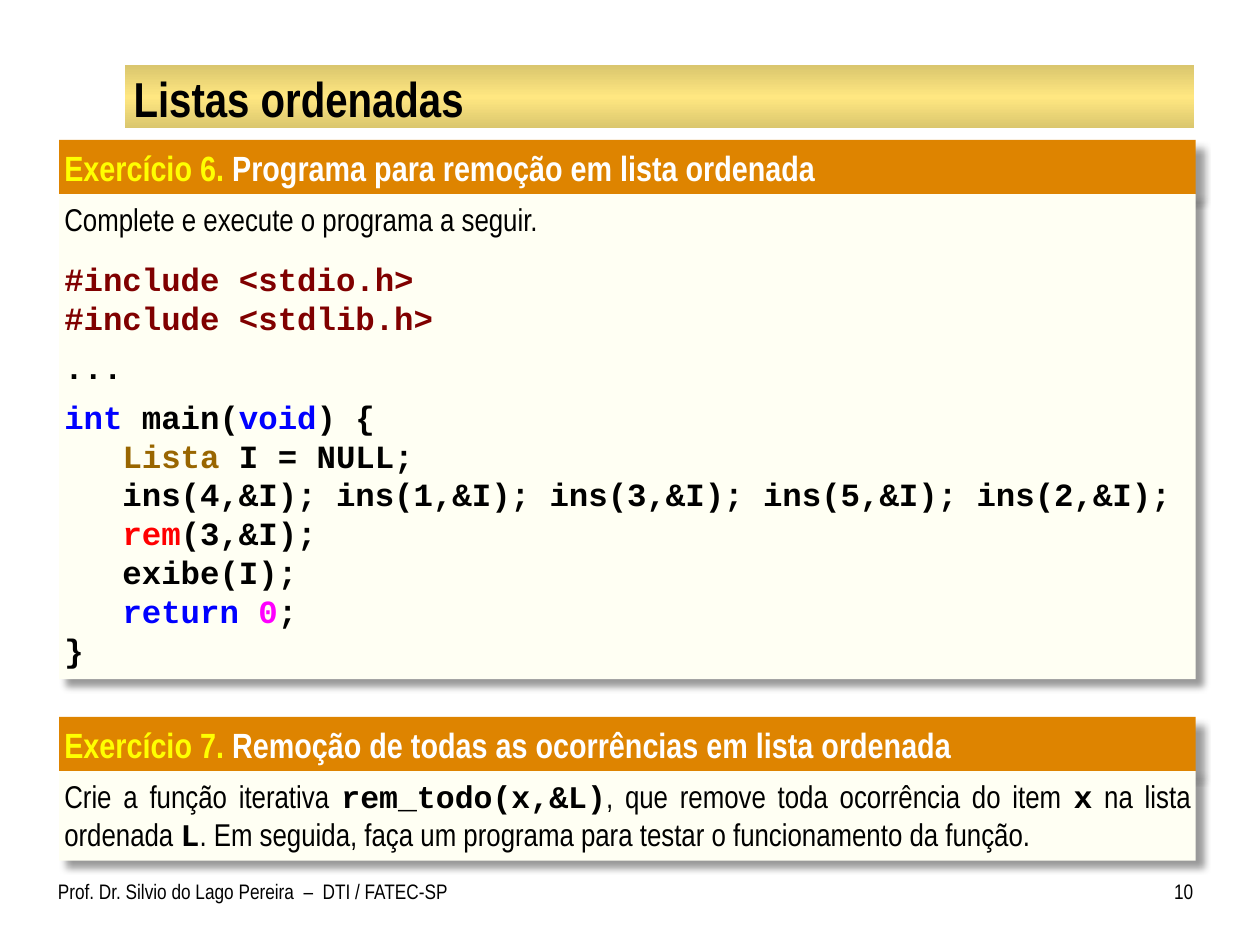
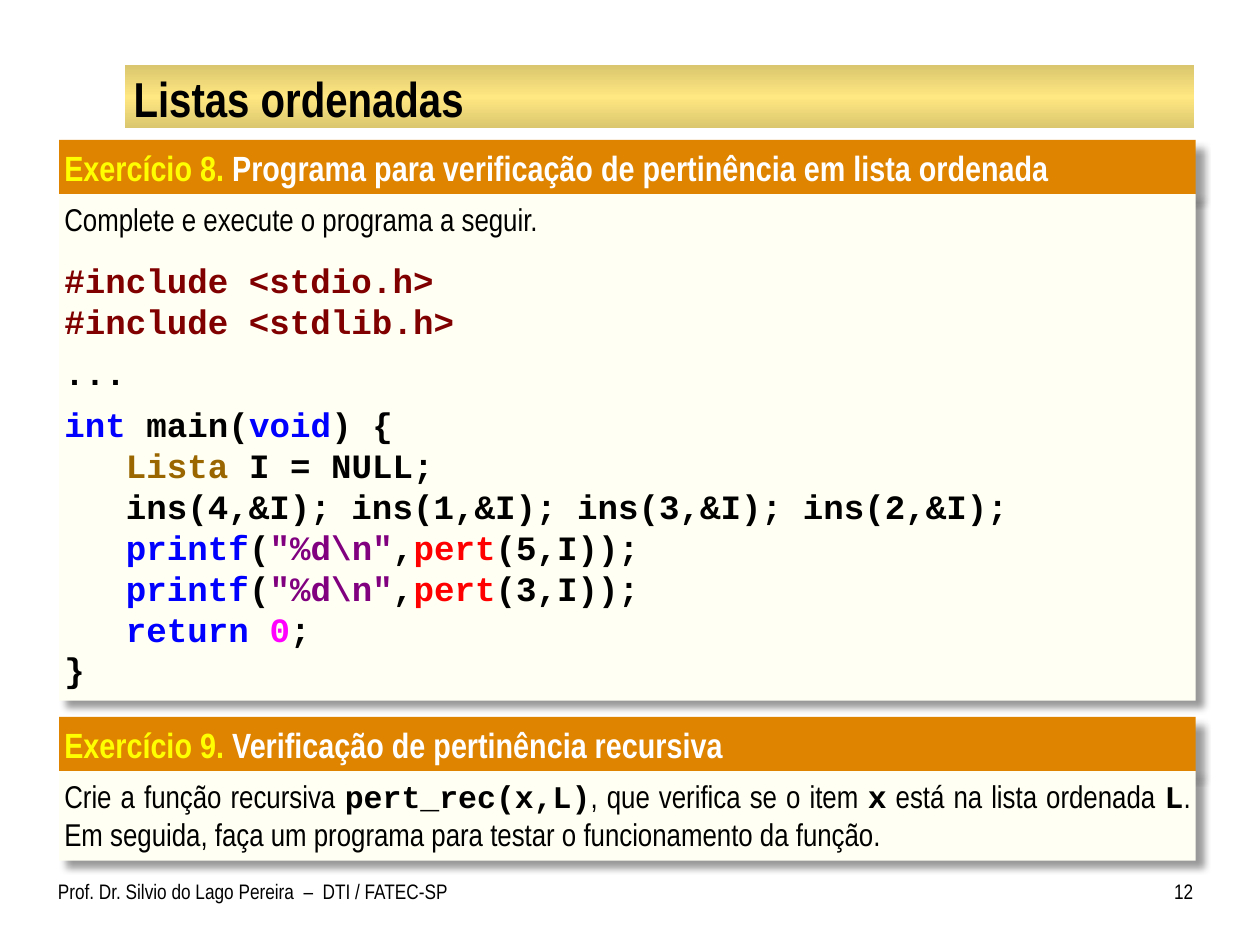
from copy import deepcopy
from lxml import etree
from pptx import Presentation
from pptx import util as u
from pptx.dml.color import RGBColor
from pptx.enum import shapes, text
from pptx.oxml import ns

HUES = {
    "black": "000000", "white": "FFFFFF", "yellow": "FFFF00",
    "orange": "DE8400", "cream": "FFFFF3", "gold": "DAC66E",
    "shine": "FFE781", "maroon": "800000", "blue": "0000FF",
    "brown": "996600", "red": "FF0000", "pink": "FF00FF",
    "purple": "800080",
}
HUES = {name: RGBColor.from_string(code) for name, code in HUES.items()}
SANS, MONO = "Arial Narrow", "Courier New"
LEFT, WIDE, HEAD = 0.47, 9.02, 0.44
GAPS = {1: 12, 3: 6, 4: 6}

START = [
    [("#include <stdio.h>", "maroon")],
    [("#include <stdlib.h>", "maroon")],
    [("...", "black")],
    [("int", "blue"), (" main(", "black"), ("void", "blue"), (") {", "black")],
    [("   ", "black"), ("Lista", "brown"), (" I = NULL;", "black")],
]
END = [
    [("   ", "black"), ("return ", "blue"), ("0", "pink"), (";", "black")],
    [("}", "black")],
]
REMOVE = [
    [("   ins(4,&I); ins(1,&I); ins(3,&I); ins(5,&I); ins(2,&I);", "black")],
    [("   ", "black"), ("rem", "red"), ("(3,&I);", "black")],
    [("   exibe(I);", "black")],
]
CHECK = [[("   ins(4,&I); ins(1,&I); ins(3,&I); ins(2,&I);", "black")]]
for item in (5, 3):
    CHECK.append([
        ("   ", "black"), ("printf", "blue"), ("(", "black"),
        ('"%d\\n"', "purple"), (",", "black"), ("pert", "red"),
        (f"({item},I));", "black"),
    ])

TEST = "Em seguida, faça um programa para testar o funcionamento da função."
PAGES = [
    {
        "page": 10, "first": 6, "tall": 3.85, "size": 18.5, "code": REMOVE,
        "heads": ["Programa para remoção em lista ordenada",
                  "Remoção de todas as ocorrências em lista ordenada"],
        "task": ["Crie a função iterativa ", "rem_todo(x,&L)",
                 ", que remove toda ocorrência do item ", "x",
                 " na lista ordenada ", "L", ". " + TEST],
    },
    {
        "page": 12, "first": 8, "tall": 4.02, "size": 19.5, "code": CHECK,
        "heads": ["Programa para verificação de pertinência em lista ordenada",
                  "Verificação de pertinência recursiva"],
        "task": ["Crie a função recursiva ", "pert_rec(x,L)",
                 ", que verifica se o item ", "x",
                 " está na lista ordenada ", "L", ". " + TEST],
    },
]


def say(para, words, size, hue="black", face=SANS, bold=False):
    run = para.add_run()
    run.text = words
    font = run.font
    font.size, font.name, font.bold = u.Pt(size), face, bold
    font.color.rgb = HUES[hue]


def panel(slide, top, tall, hue):
    box = slide.shapes.add_shape(
        shapes.MSO_SHAPE.RECTANGLE, u.Inches(LEFT), u.Inches(top),
        u.Inches(WIDE), u.Inches(tall))
    box.fill.solid()
    box.fill.fore_color.rgb = HUES[hue]
    box.line.fill.background()
    box.shadow.inherit = False
    glow = box.element.spPr.find(ns.qn("a:effectLst"))
    cast = etree.SubElement(
        glow, ns.qn("a:outerShdw"), blurRad=str(u.Pt(4)),
        dist=str(u.Pt(6)), dir="2700000", algn="tl", rotWithShape="0")
    tone = etree.SubElement(cast, ns.qn("a:srgbClr"), val="000000")
    etree.SubElement(tone, ns.qn("a:alpha"), val="40000")
    frame = box.text_frame
    frame.word_wrap = True
    frame.vertical_anchor = text.MSO_ANCHOR.TOP
    frame.margin_left = frame.margin_right = u.Inches(0.04)
    frame.margin_top = frame.margin_bottom = u.Inches(0.05)
    frame.paragraphs[0].alignment = text.PP_ALIGN.LEFT
    return frame


deck = Presentation()
deck.slide_width, deck.slide_height = u.Inches(10), u.Inches(7.5)
layout = deck.slide_layouts[5]

for data in PAGES:
    slide = deck.slides.add_slide(layout)

    if data is PAGES[0]:
        band = slide.shapes.add_shape(
            shapes.MSO_SHAPE.RECTANGLE, u.Inches(0.99), u.Inches(0.52),
            u.Inches(8.49), u.Inches(0.5))
        band.shadow.inherit = False
        band.line.fill.background()
        band.fill.gradient()
        band.fill.gradient_angle = 90
        stops = band.element.spPr.find(".//" + ns.qn("a:gsLst"))
        stops.insert(1, deepcopy(stops[0]))
        tones = ("gold", "shine", "gold")
        for spot, (stop, tone) in enumerate(zip(band.fill.gradient_stops, tones)):
            stop.position = spot / 2
            stop.color.rgb = HUES[tone]
        layout.shapes.element.insert(2, band.element)

    title = slide.shapes.title
    title.left, title.top = u.Inches(1), u.Inches(0.54)
    title.width, title.height = u.Inches(8.47), u.Inches(0.47)
    frame = title.text_frame
    frame.auto_size = text.MSO_AUTO_SIZE.NONE
    frame.vertical_anchor = text.MSO_ANCHOR.MIDDLE
    frame.margin_left = frame.margin_right = u.Inches(0.06)
    frame.margin_top = frame.margin_bottom = u.Inches(0.01)
    frame.paragraphs[0].alignment = text.PP_ALIGN.LEFT
    say(frame.paragraphs[0], "Listas ordenadas", 28, bold=True)

    bodies = []
    for step, (top, tall) in enumerate([(1.11, data["tall"]), (5.69, 0.71)]):
        para = panel(slide, top, HEAD, "orange").paragraphs[0]
        say(para, f"Exercício {data['first'] + step}.", 20, "yellow", bold=True)
        say(para, " " + data["heads"][step], 20, "white", bold=True)
        bodies.append(panel(slide, top + HEAD - 0.01, tall, "cream"))

    say(bodies[0].paragraphs[0], "Complete e execute o programa a seguir.", 18)
    for row, line in enumerate(START + data["code"] + END, 1):
        para = bodies[0].add_paragraph()
        para.alignment = text.PP_ALIGN.LEFT
        para.space_before = u.Pt(GAPS.get(row, 0))
        for words, hue in line:
            say(para, words, data["size"], hue, MONO, True)

    para = bodies[1].paragraphs[0]
    para.alignment = text.PP_ALIGN.JUSTIFY
    for part, words in enumerate(data["task"]):
        code = part % 2 == 1
        say(para, words, 18, face=MONO if code else SANS, bold=code)

    for left, wide, side, words in [
        (0.46, 3.27, text.PP_ALIGN.LEFT,
         "Prof. Dr. Silvio do Lago Pereira  –  DTI / FATEC-SP"),
        (9.08, 0.39, text.PP_ALIGN.RIGHT, str(data["page"])),
    ]:
        foot = slide.shapes.add_textbox(
            u.Inches(left), u.Inches(6.92), u.Inches(wide), u.Inches(0.42))
        frame = foot.text_frame
        frame.word_wrap = True
        frame.margin_left = frame.margin_right = 0
        frame.paragraphs[0].alignment = side
        say(frame.paragraphs[0], words, 12)

deck.save("out.pptx")
